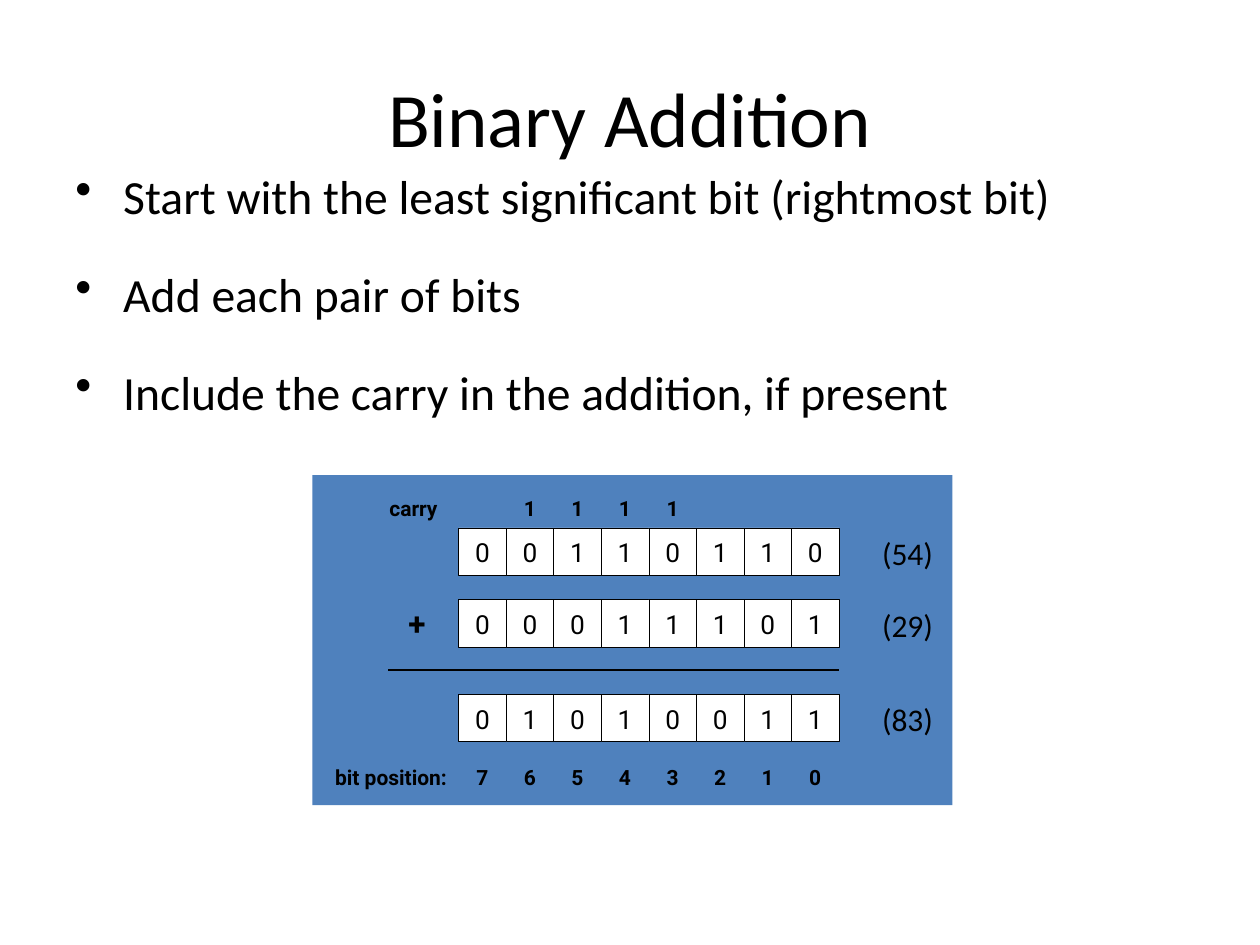
from dataclasses import dataclass

from lxml.etree import SubElement
from pptx import Presentation
from pptx.dml.color import RGBColor
from pptx.enum.shapes import MSO_CONNECTOR as Connector, MSO_SHAPE as Preset
from pptx.enum.text import MSO_ANCHOR as Anchor, MSO_AUTO_SIZE as AutoSize, PP_ALIGN as Align
from pptx.oxml.ns import qn
from pptx.shapes.autoshape import Shape
from pptx.slide import Slide
from pptx.text.text import _Paragraph as Paragraph
from pptx.util import Inches, Pt

BLACK = RGBColor(0, 0, 0)
WHITE = RGBColor(255, 255, 255)
PANEL_BLUE = RGBColor(0x4F, 0x81, 0xBD)

TITLE = {"name": "Calibri", "size": Pt(44)}
BULLET = {"name": "Calibri", "size": Pt(27.2)}
DIGIT = {"name": "Roboto", "size": Pt(15)}
LABEL = {"name": "Roboto", "size": Pt(12), "bold": True}
PLUS = {"name": "Roboto", "size": Pt(18), "bold": True}
DECIMAL = {"name": "Calibri", "size": Pt(18)}
TIGHT = {
    "margin_left": 0, "margin_right": 0, "margin_top": 0, "margin_bottom": 0,
    "word_wrap": False, "auto_size": AutoSize.SHAPE_TO_FIT_TEXT,
}

GRID_LEFT = 3.64
GRID_WIDTH = 3.02
CELL = GRID_WIDTH / 8


@dataclass
class BitRow:
    top: float
    bits: str
    decimal: str


@dataclass
class Label:
    text: str
    left: float
    top: float
    width: float
    height: float
    style: dict


BULLETS = [
    "Start with the least significant bit (rightmost bit)",
    "Add each pair of bits",
    "Include the carry in the addition, if present",
]
BIT_ROWS = [
    BitRow(4.19, "00110110", "(54)"),
    BitRow(4.76, "00011101", "(29)"),
    BitRow(5.51, "01010011", "(83)"),
]
CARRIES = {1: "1", 2: "1", 3: "1", 4: "1"}
POSITIONS = {column: str(7 - column) for column in range(8)}
SIDE_LABELS = [
    Label("carry", 3.09, 3.93, 0.51, 0.2, LABEL),
    Label("+", 3.24, 4.79, 0.15, 0.3, PLUS),
    Label("bit position:", 2.66, 6.07, 0.97, 0.2, LABEL),
]


def apply_format(target: object, values: dict) -> None:
    for name, value in values.items():
        setattr(target, name, value)


def add_span(para: Paragraph, text: str, style: dict) -> None:
    span = para.add_run()
    span.text = text
    apply_format(span.font, style)
    span.font.color.rgb = BLACK


def add_title(page: Slide, text: str) -> None:
    box = page.shapes.add_textbox(Inches(0.5), Inches(0.3), Inches(9), Inches(1.25))
    apply_format(box.text_frame, {"word_wrap": True, "vertical_anchor": Anchor.MIDDLE})
    para = box.text_frame.paragraphs[0]
    para.alignment = Align.CENTER
    add_span(para, text, TITLE)


def add_bullets(page: Slide, lines: list[str]) -> None:
    box = page.shapes.add_textbox(Inches(0.5), Inches(1.23), Inches(9), Inches(2.14))
    frame = box.text_frame
    frame.word_wrap = True
    for index, line in enumerate(lines):
        para = frame.add_paragraph() if index else frame.paragraphs[0]
        properties = para._p.get_or_add_pPr()
        properties.set("marL", str(Inches(0.38)))
        properties.set("indent", str(-Inches(0.38)))
        SubElement(properties, qn("a:buChar")).set("char", "•")
        apply_format(para, {"line_spacing": 1.1, "space_before": Pt(20 if index else 0)})
        add_span(para, line, BULLET)


def add_rectangle(page: Slide, left: float, top: float, width: float, height: float,
                  color: RGBColor) -> Shape:
    box = page.shapes.add_shape(
        Preset.RECTANGLE, Inches(left), Inches(top), Inches(width), Inches(height))
    box.shadow.inherit = False
    box.fill.solid()
    box.fill.fore_color.rgb = color
    box.line.fill.background()
    return box


def add_label(page: Slide, label: Label) -> None:
    box = page.shapes.add_textbox(
        Inches(label.left), Inches(label.top), Inches(label.width), Inches(label.height))
    apply_format(box.text_frame, TIGHT)
    add_span(box.text_frame.paragraphs[0], label.text, label.style)


def add_bit_row(page: Slide, row: BitRow) -> None:
    for column, bit in enumerate(row.bits):
        left = GRID_LEFT + column * CELL
        box = add_rectangle(page, left, row.top, CELL, CELL, WHITE)
        box.line.color.rgb = BLACK
        box.line.width = Pt(0.38)
        add_label(page, Label(bit, left + 0.13, row.top + 0.07, 0.12, 0.25, DIGIT))
    add_label(page, Label(row.decimal, 7, row.top + 0.05, 0.41, 0.3, DECIMAL))


def add_column_labels(page: Slide, texts: dict[int, str], top: float) -> None:
    for column, text in texts.items():
        left = GRID_LEFT + column * CELL + 0.14
        add_label(page, Label(text, left, top, 0.09, 0.2, LABEL))


def add_sum_line(page: Slide) -> None:
    line = page.shapes.add_connector(
        Connector.STRAIGHT, Inches(3.08), Inches(5.32),
        Inches(GRID_LEFT + GRID_WIDTH), Inches(5.32))
    line.line.color.rgb = BLACK
    line.line.width = Pt(1.13)
    SubElement(line._element.spPr, qn("a:effectLst"))


def main() -> None:
    deck = Presentation()
    deck.slide_width, deck.slide_height = Inches(10), Inches(7.5)
    page = deck.slides.add_slide(deck.slide_layouts[6])
    add_title(page, "Binary Addition")
    add_bullets(page, BULLETS)
    add_rectangle(page, 2.48, 3.77, 5.08, 2.62, PANEL_BLUE)
    for row in BIT_ROWS:
        add_bit_row(page, row)
    add_sum_line(page)
    for label in SIDE_LABELS:
        add_label(page, label)
    add_column_labels(page, CARRIES, 3.93)
    add_column_labels(page, POSITIONS, 6.07)
    deck.save("out.pptx")


if __name__ == "__main__":
    main()
